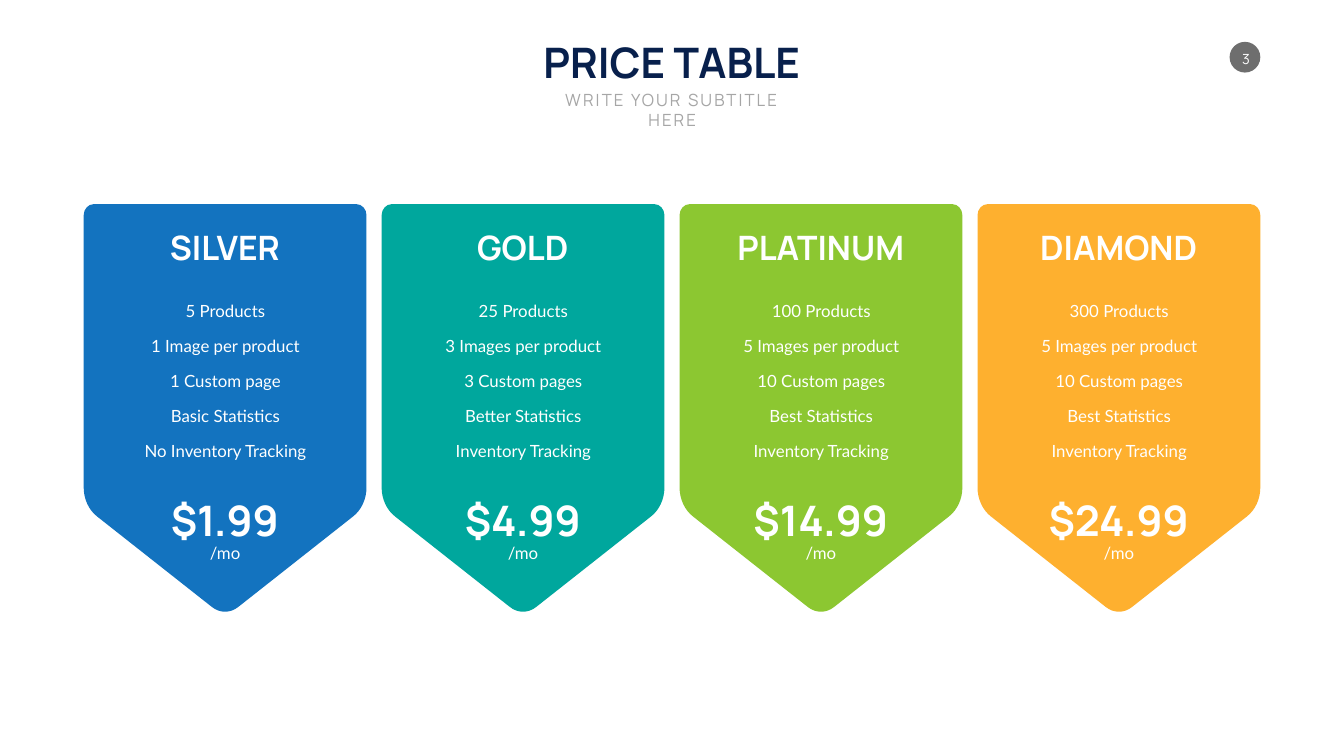
from lxml.etree import SubElement
from pptx import Presentation
from pptx.dml.color import RGBColor
from pptx.enum.shapes import MSO_SHAPE
from pptx.enum.text import MSO_ANCHOR, MSO_AUTO_SIZE, PP_ALIGN
from pptx.oxml.ns import qn
from pptx.util import Pt

PX = 9144
COLORS = {
    "navy": "08204C", "grey": "A6A6A6", "badge": "6E6E6E", "white": "FFFFFF",
    "blue": "1373BF", "teal": "00A79D", "green": "8CC731", "orange": "FEB02F",
}
STYLES = {
    "title": ("navy", {"name": "Manrope", "size": Pt(60), "bold": True}),
    "subtitle": ("grey", {"name": "Manrope", "size": Pt(24)}),
    "number": ("white", {"name": "Manrope", "size": Pt(20)}),
    "plan": ("white", {"name": "Manrope", "size": Pt(48), "bold": True}),
    "price": ("white", {"name": "Manrope", "size": Pt(60), "bold": True}),
    "body": ("white", {"name": "Lato", "size": Pt(24)}),
}
PLANS = [
    ("SILVER", 244, "$1.99", 238, "blue",
     ["5 Products", "1 Image per product", "1 Custom page",
      "Basic Statistics", "No Inventory Tracking"]),
    ("GOLD", 206, "$4.99", 262, "teal",
     ["25 Products", "3 Images per product", "3 Custom pages",
      "Better Statistics", "Inventory Tracking"]),
    ("PLATINUM", 364, "$14.99", 292, "green",
     ["100 Products", "5 Images per product", "10 Custom pages",
      "Best Statistics", "Inventory Tracking"]),
    ("DIAMOND", 354, "$24.99", 308, "orange",
     ["300 Products", "5 Images per product", "10 Custom pages",
      "Best Statistics", "Inventory Tracking"]),
]
LEFT, TOP, WIDTH, PITCH = 166, 405, 561, 591
ROW_TOP, ROW_SPAN = 585, 279


def write(sp, text, style, anchor=MSO_ANCHOR.MIDDLE, wrap=False):
    color, fmt = STYLES[style]
    tf = sp.text_frame
    tf.word_wrap = wrap
    tf.auto_size = MSO_AUTO_SIZE.SHAPE_TO_FIT_TEXT
    tf.vertical_anchor = anchor
    p = tf.paragraphs[0]
    p.alignment = PP_ALIGN.CENTER
    r = p.add_run()
    r.text = text
    for key, value in fmt.items():
        setattr(r.font, key, value)
    r.font.color.rgb = RGBColor.from_string(COLORS[color])
    return p


def add_text(x, y, w, h, *args, **kwargs):
    sp = s.shapes.add_textbox(x * PX, y * PX, w * PX, h * PX)
    return write(sp, *args, **kwargs)


prs = Presentation()
prs.slide_width, prs.slide_height = 2666 * PX, 1500 * PX
s = prs.slides.add_slide(prs.slide_layouts[5])

title = s.shapes.title
for key, value in {"left": 1066, "top": 67, "width": 533, "height": 111}.items():
    setattr(title, key, value * PX)
write(title, "PRICE TABLE", "title", MSO_ANCHOR.TOP)

p = add_text(1062, 173, 543, 50, "WRITE YOUR SUBTITLE HERE", "subtitle",
             MSO_ANCHOR.TOP, wrap=True)
p.runs[0].font._element.set("spc", "300")

badge = s.shapes.add_shape(MSO_SHAPE.OVAL, 2439 * PX, 83 * PX, 61 * PX, 61 * PX)
badge.shadow.inherit = False
badge.fill.solid()
badge.fill.fore_color.rgb = RGBColor.from_string(COLORS["badge"])
badge.line.fill.background()

number = s.shapes.add_textbox(2451 * PX, 99 * PX, 41 * PX, 34 * PX)
for side in ("left", "top", "right", "bottom"):
    setattr(number.text_frame, f"margin_{side}", 0)
write(number, "3", "number")

left_curves = [
    (20, 0), (9, 0), (0, 10), (0, 22),
    (0, 562), (0, 585), (10, 607), (27, 620),
]
tip = [(254, 799), (270, 812), (291, 812), (307, 799)]
right_curves = [(WIDTH - x, y) for x, y in reversed(left_curves)]
outline = left_curves + tip + right_curves

for col, (plan, plan_w, price, price_w, color, features) in enumerate(PLANS):
    x = LEFT + col * PITCH
    center = x + WIDTH // 2
    points = [((x + dx) * PX, (TOP + dy) * PX) for dx, dy in outline]
    builder = s.shapes.build_freeform(*points[0])
    builder.add_line_segments(points[1:], close=True)
    card = builder.convert_to_shape()
    segments = card._element.xpath(".//a:lnTo")
    for i in range(0, len(outline), 4):
        curve = SubElement(segments[i].getparent(), qn("a:cubicBezTo"))
        segments[i].addprevious(curve)
        for segment in segments[i:i + 3]:
            curve.append(segment[0])
            segment.getparent().remove(segment)
    card.shadow.inherit = False
    card.fill.solid()
    card.fill.fore_color.rgb = RGBColor.from_string(COLORS[color])
    card.line.fill.background()

    add_text(center - plan_w // 2, 444, plan_w, 91, plan, "plan")
    for row, feature in enumerate(features):
        p = add_text(center - 228, ROW_TOP + row * ROW_SPAN // 4, 458, 54,
                     feature, "body", wrap=True)
        p.line_spacing = Pt(35)
    add_text(center - price_w // 2, 976, price_w, 111, price, "price")
    add_text(center - 40, 1072, 81, 50, "/mo", "body")

prs.save("out.pptx")
